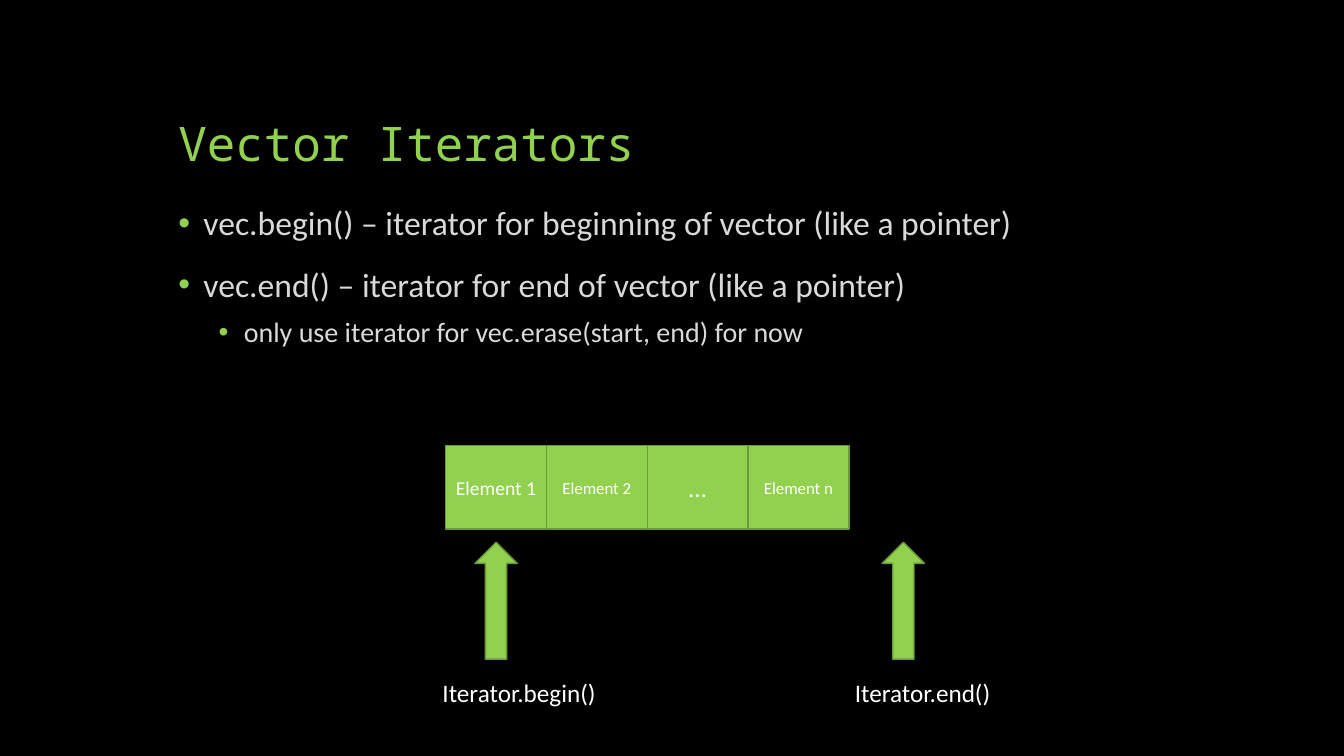
from lxml import etree
from pptx import Presentation
from pptx.dml.color import RGBColor
from pptx.enum import shapes, text
from pptx.oxml.ns import qn
from pptx.util import Inches, Pt

COLORS = {
    "back": "000000",
    "green": "92D050",
    "edge": "6C9A3B",
    "body": "D9D9D9",
    "white": "FFFFFF",
}
KIND = shapes.MSO_SHAPE
ANCHOR = text.MSO_ANCHOR
BULLETS = [
    ("vec.begin() – iterator for beginning of vector (like a pointer)", 0),
    ("vec.end() – iterator for end of vector (like a pointer)", 0),
    ("only use iterator for vec.erase(start, end) for now", 1),
]
LEVELS = [(24, 18, 0.25), (20, 10, 0.65)]
CELLS = [("Element 1", 14), ("Element 2", 12), ("…", 18), ("Element n", 12)]
MARKS = [("Iterator.begin()", 4.71, 4.29), ("Iterator.end()", 8.75, 8.38)]


def rgb(name):
    return RGBColor.from_string(COLORS[name])


def style(para, size, color, face="Calibri"):
    para.font.name = face
    para.font.size = Pt(size)
    para.font.color.rgb = rgb(color)


def add_box(slide, left, top, width, height, anchor=ANCHOR.TOP):
    box = slide.shapes.add_textbox(
        Inches(left), Inches(top), Inches(width), Inches(height))
    frame = box.text_frame
    frame.word_wrap = True
    frame.vertical_anchor = anchor
    return frame


def add_label(slide, words, left, top, width, height, size, color,
              face="Calibri", anchor=ANCHOR.TOP):
    frame = add_box(slide, left, top, width, height, anchor)
    para = frame.paragraphs[0]
    para.text = words
    style(para, size, color, face)
    return frame


def add_bullet(para, indent):
    props = para._p.get_or_add_pPr()
    props.set("marL", str(Inches(indent)))
    props.set("indent", str(Inches(-0.25)))
    tint = etree.SubElement(props, qn("a:buClr"))
    etree.SubElement(tint, qn("a:srgbClr"), val=COLORS["green"])
    etree.SubElement(props, qn("a:buFont"), typeface="Arial")
    etree.SubElement(props, qn("a:buChar"), char="•")


def add_list(slide, items):
    frame = add_box(slide, 1.67, 2, 10, 4.67)
    for i, (words, level) in enumerate(items):
        size, space, indent = LEVELS[level]
        para = frame.add_paragraph() if i else frame.paragraphs[0]
        para.text = words
        para.level = level
        para.line_spacing = 0.9
        para.space_before = Pt(space)
        add_bullet(para, indent)
        style(para, size, "body")


def add_block(slide, kind, left, top, width, height):
    block = slide.shapes.add_shape(
        kind, Inches(left), Inches(top), Inches(width), Inches(height))
    block.shadow.inherit = False
    block.fill.solid()
    block.fill.fore_color.rgb = rgb("green")
    block.line.color.rgb = rgb("edge")
    block.line.width = Pt(1)
    return block


def add_cell(slide, words, size, left):
    cell = add_block(slide, KIND.RECTANGLE, left, 4.42, 1, 0.83)
    frame = cell.text_frame
    frame.vertical_anchor = ANCHOR.MIDDLE
    para = frame.paragraphs[0]
    para.text = words
    para.alignment = text.PP_ALIGN.CENTER
    style(para, size, "white")


def main():
    deck = Presentation()
    deck.slide_width = Inches(13.33)
    deck.slide_height = Inches(7.5)
    slide = deck.slides.add_slide(deck.slide_layouts[6])
    slide.background.fill.solid()
    slide.background.fill.fore_color.rgb = rgb("back")

    title = add_label(slide, "Vector Iterators", 1.67, 0.5, 10, 1.25, 34,
                      "green", "Noto Sans Mono", ANCHOR.BOTTOM)
    title.paragraphs[0].line_spacing = 0.9
    add_list(slide, BULLETS)
    for i, (words, size) in enumerate(CELLS):
        add_cell(slide, words, size, 4.42 + i)
    for words, arrow, label in MARKS:
        add_block(slide, KIND.UP_ARROW, arrow, 5.38, 0.42, 1.16)
        add_label(slide, words, label, 6.67, 2.25, 0.4, 18, "white")
    deck.save("out.pptx")


if __name__ == "__main__":
    main()
